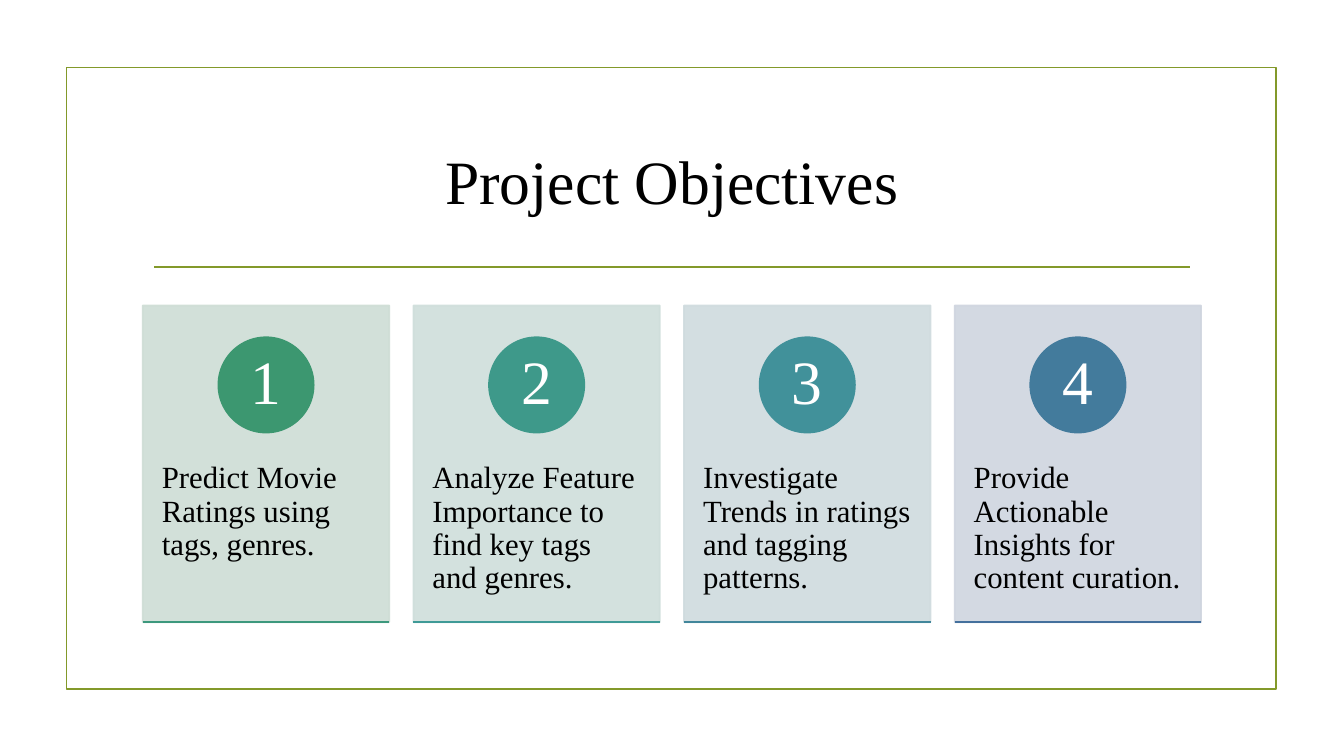
from dataclasses import dataclass

from lxml import etree
from pptx import Presentation
from pptx.dml.color import RGBColor
from pptx.enum.shapes import MSO_CONNECTOR, MSO_SHAPE
from pptx.enum.text import MSO_ANCHOR, PP_ALIGN
from pptx.oxml.ns import qn
from pptx.util import Cm, Pt

RECTANGLE, OVAL = MSO_SHAPE.RECTANGLE, MSO_SHAPE.OVAL
STRAIGHT = MSO_CONNECTOR.STRAIGHT
TOP, MIDDLE = MSO_ANCHOR.TOP, MSO_ANCHOR.MIDDLE
LEFT, CENTER = PP_ALIGN.LEFT, PP_ALIGN.CENTER

TITLE = "Project Objectives"
# objective, card colour, badge colour, base line colour
OBJECTIVES = [
    ("Predict Movie Ratings using tags, genres.", "CEDDD5", "3C9770", "3D987D"),
    ("Analyze Feature Importance to find key tags and genres.", "CFDEDB", "3E998A", "3F9A97"),
    ("Investigate Trends in ratings and tagging patterns.", "CFDBDE", "41919A", "42869B"),
    ("Provide Actionable Insights for content curation.", "CFD5DF", "437B9C", "44709D"),
]


@dataclass(frozen=True)
class Theme:
    font: str = "Times New Roman"
    accent: str = "83992A"
    ink: str = "000000"
    badge_ink: str = "FFFFFF"
    heading_size: float = 44
    body_size: float = 22
    line_width: float = 1.25
    card_opacity: int = 90


THEME = Theme()

# Lengths in centimetres
SLIDE_W, SLIDE_H = 33.87, 19.05
FRAME = (1.68, 1.7, 30.48, 15.67)
TITLE_BOX = (3.6, 2.72, 26.67, 3.63)
DIVIDER_LEFT, DIVIDER_RIGHT, DIVIDER_Y = 3.89, 30.0, 6.73
CARD_LEFT, CARD_TOP, CARD_W, CARD_H = 3.6, 7.7, 6.21, 7.98
CARD_PITCH = 6.82
BADGE_TOP, BADGE_SIZE = 8.5, 2.4
NUMBER_SIZE = 1.7
BODY_TOP, BODY_H = 10.74, 4.8
BODY_INSETS = (0.48, 0.91)
NUMBER_INSETS = (0.18, 0.03)


def lengths(box):
    return [Cm(value) for value in box]


def set_line(line, color):
    line.color.rgb = RGBColor.from_string(color)
    line.width = Pt(THEME.line_width)


def add_rule(slide, left, right, y, color):
    rule = slide.shapes.add_connector(STRAIGHT, *lengths((left, y, right, y)))
    set_line(rule.line, color)
    etree.SubElement(rule._element.spPr, qn("a:effectLst"))


def add_panel(slide, kind, box, fill, line, opacity=100):
    """Add a shape; a fill of None leaves it hollow."""
    panel = slide.shapes.add_shape(kind, *lengths(box))
    panel.shadow.inherit = False
    set_line(panel.line, line)
    if fill is None:
        panel.fill.background()
    else:
        panel.fill.solid()
        panel.fill.fore_color.rgb = RGBColor.from_string(fill)
    if opacity < 100:
        for color in panel._element.spPr.iter(qn("a:srgbClr")):
            etree.SubElement(color, qn("a:alpha"), val=str(opacity * 1000))


def write(frame, text, size, color, align, anchor, spacing=None):
    frame.word_wrap = True
    frame.vertical_anchor = anchor
    paragraph = frame.paragraphs[0]
    paragraph.alignment = align
    paragraph.line_spacing = spacing
    run = paragraph.add_run()
    run.text = text
    run.font.name = THEME.font
    run.font.size = Pt(size)
    run.font.color.rgb = RGBColor.from_string(color)


def add_label(slide, box, insets, *style):
    frame = slide.shapes.add_textbox(*lengths(box)).text_frame
    frame.margin_left = frame.margin_right = Cm(insets[0])
    frame.margin_top = frame.margin_bottom = Cm(insets[1])
    write(frame, *style, spacing=0.9)


def add_card(slide, index, objective, card_color, badge_color, base_color):
    left = CARD_LEFT + index * CARD_PITCH
    center = left + CARD_W / 2
    badge_left = center - BADGE_SIZE / 2
    number_left = center - NUMBER_SIZE / 2
    number_top = BADGE_TOP + (BADGE_SIZE - NUMBER_SIZE) / 2

    add_panel(slide, RECTANGLE, (left, CARD_TOP, CARD_W, CARD_H),
              card_color, card_color, THEME.card_opacity)
    add_label(slide, (left, BODY_TOP, CARD_W, BODY_H), BODY_INSETS,
              objective, THEME.body_size, THEME.ink, LEFT, TOP)
    add_panel(slide, OVAL, (badge_left, BADGE_TOP, BADGE_SIZE, BADGE_SIZE),
              badge_color, badge_color)
    add_label(slide, (number_left, number_top, NUMBER_SIZE, NUMBER_SIZE), NUMBER_INSETS,
              str(index + 1), THEME.heading_size, THEME.badge_ink, CENTER, MIDDLE)
    add_rule(slide, left, left + CARD_W, CARD_TOP + CARD_H, base_color)


def main():
    deck = Presentation()
    deck.slide_width, deck.slide_height = Cm(SLIDE_W), Cm(SLIDE_H)
    slide = deck.slides.add_slide(deck.slide_layouts[5])

    title = slide.shapes.title
    title.left, title.top, title.width, title.height = lengths(TITLE_BOX)
    write(title.text_frame, TITLE, THEME.heading_size, THEME.ink, CENTER, MIDDLE)

    add_panel(slide, RECTANGLE, FRAME, None, THEME.accent)
    add_rule(slide, DIVIDER_LEFT, DIVIDER_RIGHT, DIVIDER_Y, THEME.accent)
    for index, objective in enumerate(OBJECTIVES):
        add_card(slide, index, *objective)

    deck.save("out.pptx")


if __name__ == "__main__":
    main()
